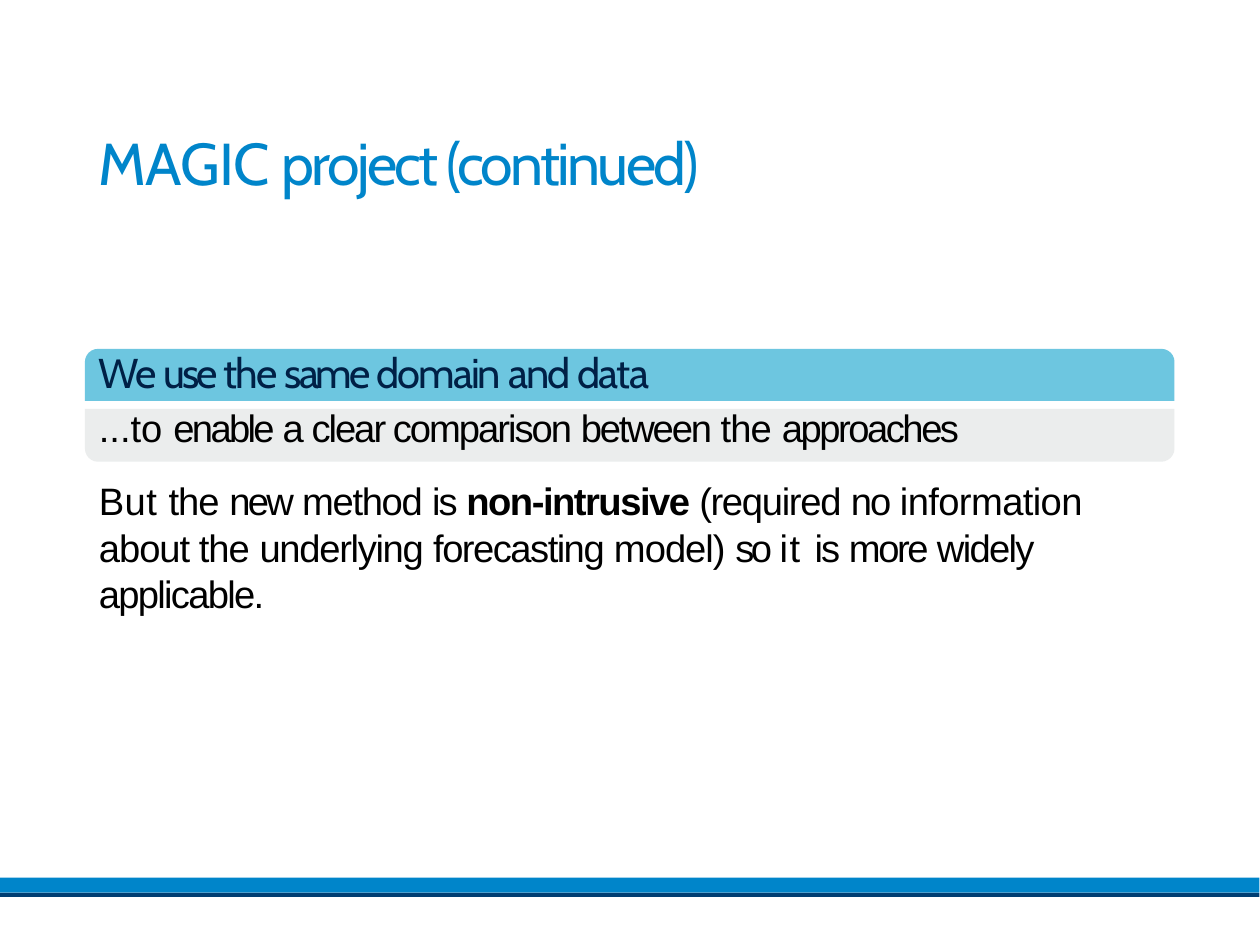
from pptx import Presentation
from pptx.dml.color import RGBColor
from pptx.enum.shapes import MSO_SHAPE
from pptx.util import Pt

RECT = MSO_SHAPE.RECTANGLE
ROUND_TOP = MSO_SHAPE.ROUND_2_SAME_RECTANGLE
COLORS = {
    "blue": "0085CA", "navy": "003E73", "sky": "6DC6E0",
    "grey": "EBEDED", "heading": "002046", "black": "000000",
}


def px(n):
    return round(n * 914400 / 250)


def add_text(left, top, width, height, inset, paragraphs):
    """Each paragraph: font, size, colour, space before, line spacing, runs."""
    tf = slide.shapes.add_textbox(px(left), px(top), px(width), px(height)).text_frame
    tf.word_wrap = True
    tf.margin_left = tf.margin_right = tf.margin_bottom = 0
    tf.margin_top = px(inset)
    for i, (font, size, color, before, spacing, runs) in enumerate(paragraphs):
        p = tf.add_paragraph() if i else tf.paragraphs[0]
        p.line_spacing = spacing
        p.space_before = Pt(before)
        p._p.get_or_add_pPr().set("marL", str(px(3)))
        for text, tracking in runs:
            r = p.add_run()
            r.text = text
            r.font.name = font
            r.font.size = Pt(size)
            r.font.bold = text.startswith("non-intrusive")
            r.font.color.rgb = RGBColor.from_string(COLORS[color])
            r._r.get_or_add_rPr().set("spc", str(round(tracking * 100)))


prs = Presentation()
prs.slide_width, prs.slide_height = Pt(363), Pt(272.5)
slide = prs.slides.add_slide(prs.slide_layouts[6])

# Block panels and footer bars: shape, corners (top, bottom), box, colour
for kind, corners, box, color in [
    (ROUND_TOP, (0.25, 0), (85, 349, 1090, 52), "sky"),
    (ROUND_TOP, (0, 0.25), (85, 409, 1090, 53), "grey"),
    (RECT, (), (0, 878, 1260, 15), "blue"),
    (RECT, (), (0, 893, 1260, 4), "navy"),
]:
    sp = slide.shapes.add_shape(kind, *map(px, box))
    for i, corner in enumerate(corners):
        sp.adjustments[i] = corner
    sp.shadow.inherit = False
    sp.fill.solid()
    sp.fill.fore_color.rgb = RGBColor.from_string(COLORS[color])
    sp.line.fill.background()

# Title
add_text(96, 122, 650, 80, 4, [
    ("Cabin", 17, "blue", 0, 1.0,
     [("MAGIC ", -0.3), ("project ", -0.8), ("(continued)", -0.8)]),
])

# Block heading, block body and closing remark
add_text(96, 334, 1008, 285, 13, [
    ("Cabin", 12, "heading", 0, 1.0,
     [("We ", -0.7), ("use ", -0.9), ("the ", -0.6), ("same ", -0.9),
      ("domain ", -0.6), ("and ", -0.65), ("data", -0.45)]),
    ("Arial", 11, "black", 2.1, 1.0,
     [("...to ", 0), ("enable ", -0.8), ("a ", -0.9), ("clear comparison ", -0.6),
      ("between ", -0.65), ("the ", -0.25), ("approaches", -0.75)]),
    ("Arial", 11, "black", 7.6, 1.02,
     [("But ", 0.1), ("the ", -0.3), ("new ", -0.8), ("method ", -0.4), ("is ", -0.6),
      ("non-intrusive ", -0.45), ("(required ", -0.4), ("no ", -0.6),
      ("information ", -0.2), ("about the ", -0.3), ("underlying ", -0.4),
      ("forecasting ", -0.45), ("model) ", -0.3), ("so ", -1), ("it ", 0.5),
      ("is ", -0.6), ("more ", -0.7), ("widely applicable.", -0.5)]),
])

prs.save("out.pptx")
